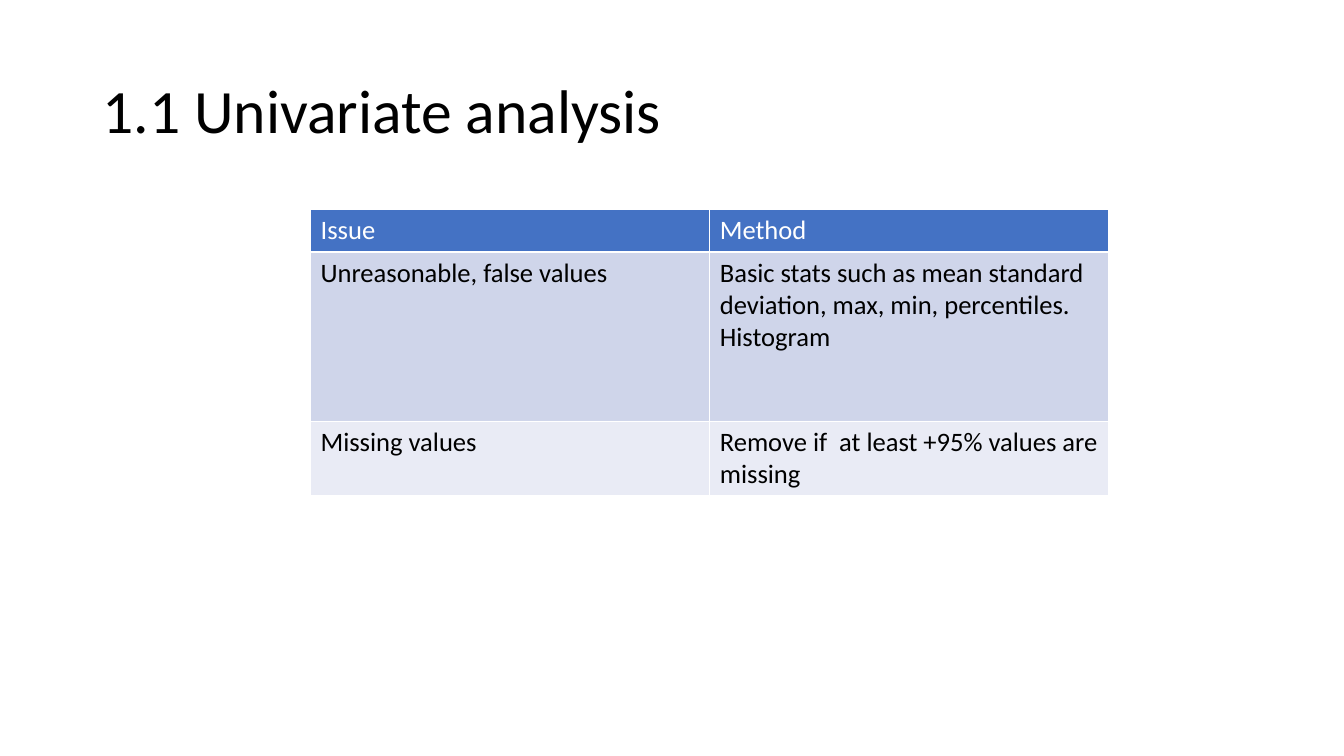
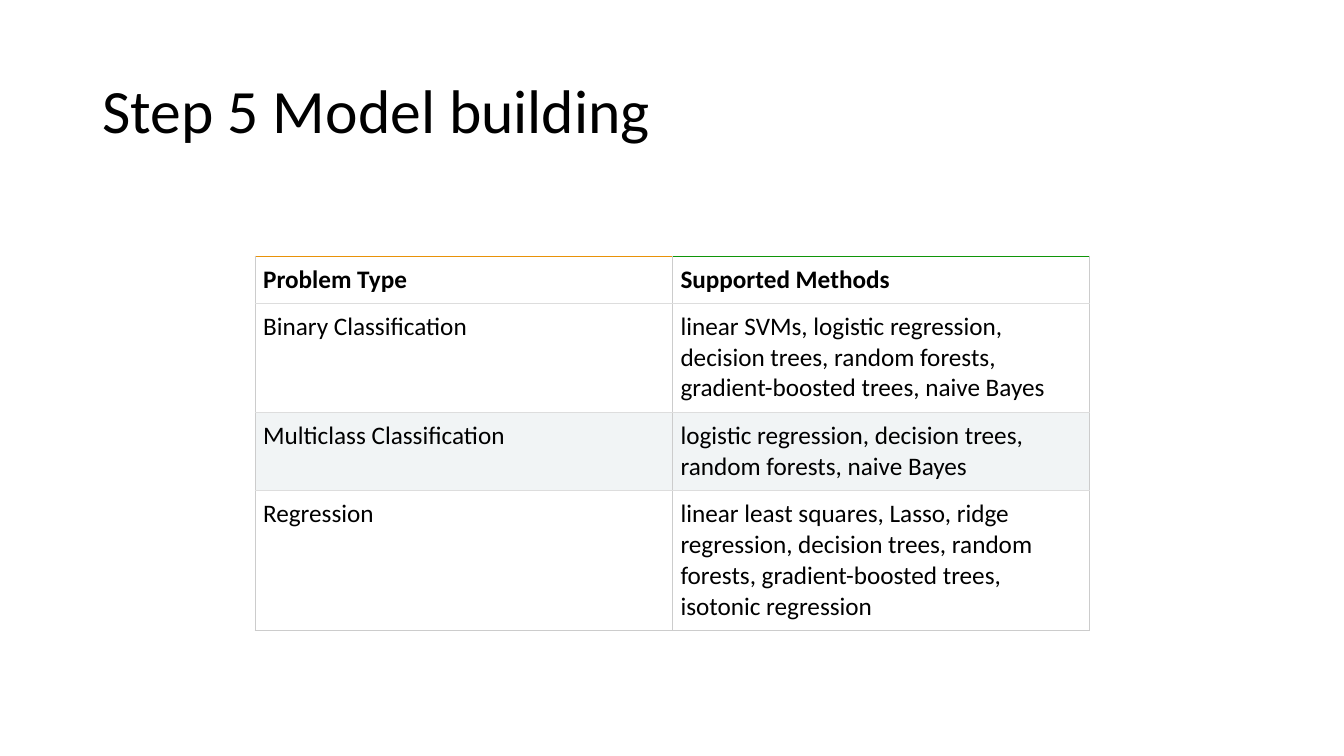
from dataclasses import dataclass

import pptx
import pptx.dml.color
import pptx.enum.text
import pptx.oxml.ns
import pptx.presentation
import pptx.slide
import pptx.table
import pptx.util
from lxml import etree

# Shared look
SLIDE_WIDTH, SLIDE_HEIGHT = 13.33, 7.5
FONT = "Calibri"
TITLE_SIZE = 44
TITLE_BOX = (0.92, 0.4, 11.5, 1.45)
COLORS = {
    "white": "FFFFFF",
    "black": "000000",
    "blue": "4472C4",
    "blue band": "CFD5EA",
    "pale band": "E9EBF5",
    "gray band": "F1F4F5",
    "side rule": "CCCCCC",
    "row rule": "DDDDDD",
    "orange rule": "E89209",
    "green rule": "109509",
}


@dataclass(frozen=True)
class TableStyle:
    """Colours, text and rules of one table; bands alternate down the body."""
    text_size: float
    header_text: str
    header_fill: str
    header_bold: bool
    header_anchor: pptx.enum.text.MSO_ANCHOR
    bands: tuple[str, str]
    margins: tuple[float, float]  # horizontal, vertical
    rule_width: float
    side_rule: str
    row_rule: str
    top_rules: tuple[str, str]  # one per column
    bottom_rule: str


@dataclass(frozen=True)
class TableSlide:
    """A title above a two-column table."""
    title: str
    left: float
    top: float
    column_width: float
    row_heights: tuple[float, ...]
    rows: tuple[tuple[str, str], ...]
    style: TableStyle


BANDED = TableStyle(
    text_size=19, header_text="white", header_fill="blue", header_bold=False,
    header_anchor=pptx.enum.text.MSO_ANCHOR.TOP,
    bands=("blue band", "pale band"), margins=(0.1, 0.05), rule_width=1,
    side_rule="white", row_rule="white", top_rules=("white", "white"),
    bottom_rule="white",
)
RULED = TableStyle(
    text_size=18, header_text="black", header_fill="white", header_bold=True,
    header_anchor=pptx.enum.text.MSO_ANCHOR.BOTTOM,
    bands=("white", "gray band"), margins=(0.08, 0.08), rule_width=0.75,
    side_rule="side rule", row_rule="row rule",
    top_rules=("orange rule", "green rule"), bottom_rule="side rule",
)

SLIDES = (
    TableSlide(
        "1.1 Univariate analysis", 3.08, 2.08, 3.96, (0.42, 1.68, 0.73),
        (
            ("Issue", "Method"),
            ("Unreasonable, false values",
             "Basic stats such as mean standard deviation, max, min, "
             "percentiles. Histogram"),
            ("Missing values", "Remove if  at least +95% values are missing"),
        ),
        BANDED,
    ),
    TableSlide(
        "Step 5 Model building", 2.53, 2.54, 4.14, (0.47, 1.08, 0.78, 1.39),
        (
            ("Problem Type", "Supported Methods"),
            ("Binary Classification",
             "linear SVMs, logistic regression, decision trees, "
             "random forests, gradient-boosted trees, naive Bayes"),
            ("Multiclass Classification",
             "logistic regression, decision trees, random forests, "
             "naive Bayes"),
            ("Regression",
             "linear least squares, Lasso, ridge regression, decision trees, "
             "random forests, gradient-boosted trees, isotonic regression"),
        ),
        RULED,
    ),
)


def write(frame: pptx.text.text.TextFrame, text: str, size: float,
          color: str, bold: bool = False) -> None:
    """Put one styled run in the first paragraph."""
    run = frame.paragraphs[0].add_run()
    run.text = text
    run.font.name = FONT
    run.font.size = pptx.util.Pt(size)
    run.font.bold = bold
    run.font.color.rgb = pptx.dml.color.RGBColor.from_string(COLORS[color])


def add_title(slide: pptx.slide.Slide, text: str) -> None:
    box = slide.shapes.add_textbox(*map(pptx.util.Inches, TITLE_BOX))
    frame = box.text_frame
    frame.word_wrap = True
    frame.vertical_anchor = pptx.enum.text.MSO_ANCHOR.MIDDLE
    frame.paragraphs[0].line_spacing = 0.9
    write(frame, text, TITLE_SIZE, "black")


def rule_cell(cell: pptx.table._Cell, width: float,
              edges: dict[str, str]) -> None:
    """Draw the cell's borders; edges run in the order L, R, T, B."""
    qn = pptx.oxml.ns.qn
    properties = cell._tc.get_or_add_tcPr()
    for edge, color in edges.items():
        line = etree.SubElement(properties, qn(f"a:ln{edge}"),
                                w=str(pptx.util.Pt(width)))
        fill = etree.SubElement(line, qn("a:solidFill"))
        etree.SubElement(fill, qn("a:srgbClr"), val=COLORS[color])


def style_cell(cell: pptx.table._Cell, text: str, row: int, column: int,
               last_row: int, style: TableStyle) -> None:
    header = row == 0
    horizontal, vertical = map(pptx.util.Inches, style.margins)
    cell.margin_left = cell.margin_right = horizontal
    cell.margin_top = cell.margin_bottom = vertical
    cell.vertical_anchor = (style.header_anchor if header
                            else pptx.enum.text.MSO_ANCHOR.TOP)
    # Borders come before the fill in the cell's properties
    rule_cell(cell, style.rule_width, {
        "L": style.side_rule,
        "R": style.side_rule,
        "T": style.top_rules[column] if header else style.row_rule,
        "B": style.bottom_rule if row == last_row else style.row_rule,
    })
    fill = style.header_fill if header else style.bands[(row - 1) % 2]
    cell.fill.solid()
    cell.fill.fore_color.rgb = pptx.dml.color.RGBColor.from_string(COLORS[fill])
    write(cell.text_frame, text, style.text_size,
          style.header_text if header else "black",
          header and style.header_bold)


def add_table(slide: pptx.slide.Slide, content: TableSlide) -> None:
    columns = len(content.rows[0])
    frame = slide.shapes.add_table(
        len(content.rows), columns,
        pptx.util.Inches(content.left), pptx.util.Inches(content.top),
        pptx.util.Inches(content.column_width * columns),
        pptx.util.Inches(sum(content.row_heights)))
    table = frame.table
    table.horz_banding = False
    for column in table.columns:
        column.width = pptx.util.Inches(content.column_width)
    for row, height in zip(table.rows, content.row_heights):
        row.height = pptx.util.Inches(height)
    for r, texts in enumerate(content.rows):
        for c, text in enumerate(texts):
            style_cell(table.cell(r, c), text, r, c,
                       len(content.rows) - 1, content.style)


def main() -> None:
    deck = pptx.Presentation()
    deck.slide_width = pptx.util.Inches(SLIDE_WIDTH)
    deck.slide_height = pptx.util.Inches(SLIDE_HEIGHT)
    blank = deck.slide_layouts[6]
    for content in SLIDES:
        slide = deck.slides.add_slide(blank)
        add_title(slide, content.title)
        add_table(slide, content)
    deck.save("out.pptx")


if __name__ == "__main__":
    main()
